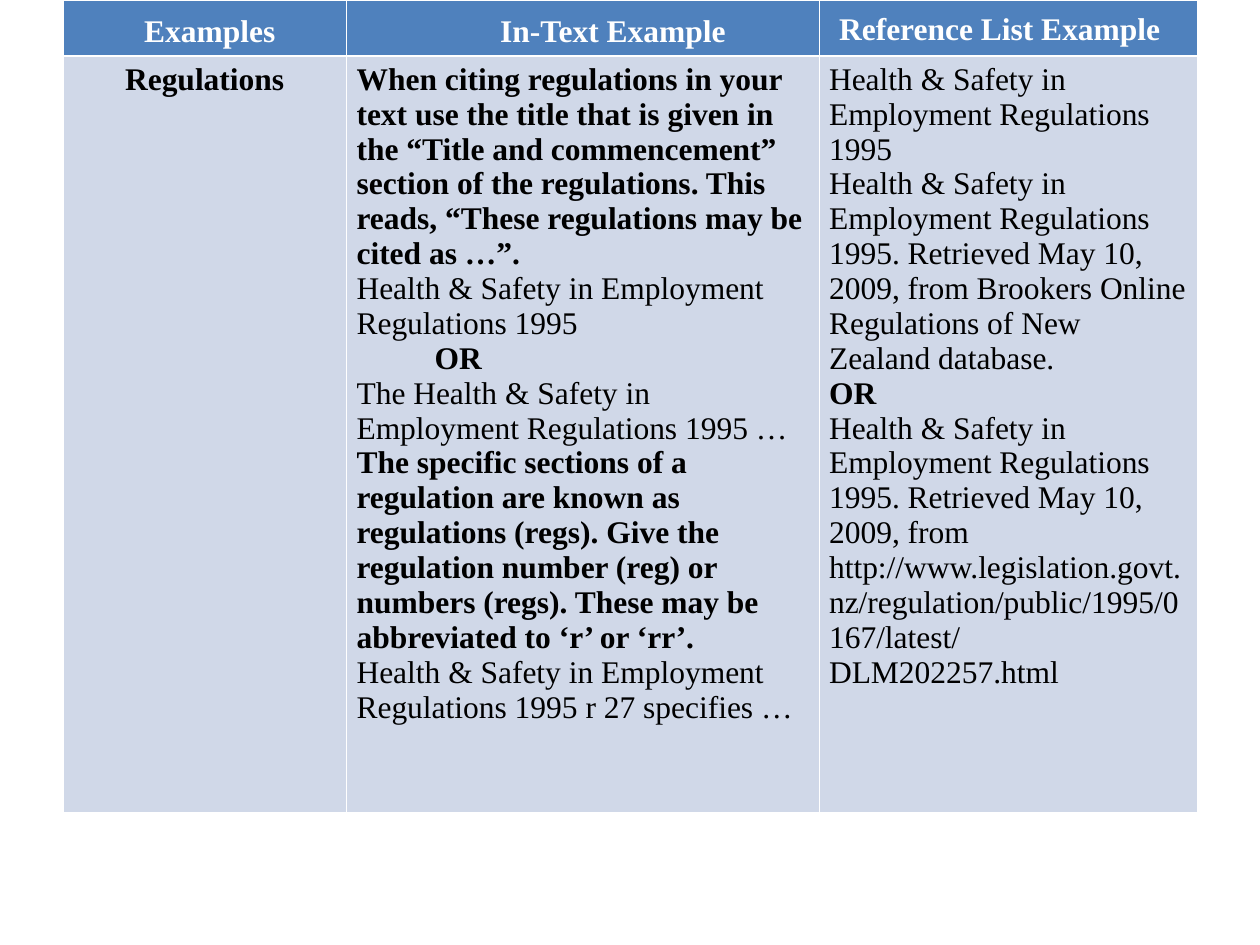
from pptx import Presentation
from pptx.dml.color import RGBColor
from pptx.enum.text import PP_ALIGN
from pptx.oxml import parse_xml
from pptx.oxml.ns import nsdecls
from pptx.util import Inches, Pt

LEFT, CENTER = PP_ALIGN.LEFT, PP_ALIGN.CENTER
BLANK_LAYOUT = 6
WHITE, BLACK, BLUE, PALE_BLUE = "FFFFFF", "000000", "4F81BD", "D0D8E8"
THIN, THICK = 0.45, 1.47


def add_borders(cell, widths):
    """Give the cell white borders; widths maps a side (L, R, T, B) to points."""
    properties = cell._tc.get_or_add_tcPr()
    for side, width in widths.items():
        properties.append(parse_xml(
            f'<a:ln{side} {nsdecls("a")} w="{Pt(width)}"><a:solidFill>'
            f'<a:srgbClr val="{WHITE}"/></a:solidFill></a:ln{side}>'))


def write_paragraph(paragraph, text, bold, color, align=LEFT, indent=0):
    paragraph.alignment = align
    paragraph._p.get_or_add_pPr().set("marL", str(Inches(indent)))
    run = paragraph.add_run()
    run.text = text
    font_format = {"name": "Times New Roman", "size": Pt(18), "bold": bold}
    for attribute, value in font_format.items():
        setattr(run.font, attribute, value)
    run.font.color.rgb = RGBColor.from_string(color)


# text, alignment, indent, line spacing, top margin
headings = [
    ("Examples", CENTER, 0.08, 12.5, 0.22),
    ("In-Text Example", LEFT, 1.14, 12.5, 0.22),
    ("Reference List Example", LEFT, 0.08, 12, 0.21),
]
# text, bold, alignment, indent
details = [
    [("Regulations", True, CENTER, 0)],
    [
        ("When citing regulations in your text use the title that is given in the "
         "“Title and commencement” section of the regulations. This reads, "
         "“These regulations may be cited as …”.", True, LEFT, 0),
        ("Health & Safety in Employment Regulations 1995", False, LEFT, 0),
        ("OR", True, LEFT, 0.62),
        ("The Health & Safety in Employment Regulations 1995 …", False, LEFT, 0),
        ("The specific sections of a regulation are known as regulations (regs). "
         "Give the", True, LEFT, 0),
        ("regulation number (reg) or numbers (regs). These may be abbreviated to "
         "‘r’ or ‘rr’.", True, LEFT, 0),
        ("Health & Safety in Employment Regulations 1995 r 27 specifies …",
         False, LEFT, 0),
    ],
    [
        ("Health & Safety in Employment Regulations 1995", False, LEFT, 0),
        ("Health & Safety in Employment Regulations 1995. Retrieved May 10, 2009, "
         "from Brookers Online Regulations of New Zealand database.", False, LEFT, 0),
        ("OR", True, LEFT, 0),
        ("Health & Safety in Employment Regulations 1995. Retrieved May 10, 2009, "
         "from http://www.legislation.govt.nz/regulation/public/1995/0167/latest/"
         "DLM202257.html", False, LEFT, 0),
    ],
]

prs = Presentation()
prs.slide_width, prs.slide_height = Inches(10), Inches(7.5)
slide = prs.slides.add_slide(prs.slide_layouts[BLANK_LAYOUT])

citations = slide.shapes.add_table(
    2, 3, Inches(0.5), Inches(0), Inches(9), Inches(6.44)).table
for column, width in zip(citations.columns, (2.25, 3.75, 3)):
    column.width = Inches(width)
for row, height in zip(citations.rows, (0.44, 6)):
    row.height = Inches(height)

row_styles = [
    (BLUE, {"L": THIN, "R": THIN, "T": THIN, "B": THICK}),
    (PALE_BLUE, {"L": THIN, "R": THIN, "T": THICK, "B": THIN}),
]
for row, (fill, borders) in zip(citations.rows, row_styles):
    for cell in row.cells:
        cell.margin_left = cell.margin_right = Inches(0.08)
        cell.margin_top = cell.margin_bottom = Inches(0.05)
        add_borders(cell, borders)
        cell.fill.solid()
        cell.fill.fore_color.rgb = RGBColor.from_string(fill)

for cell, (text, align, indent, spacing, top) in zip(citations.rows[0].cells, headings):
    cell.margin_top = Inches(top)
    heading = cell.text_frame.paragraphs[0]
    write_paragraph(heading, text, True, WHITE, align, indent)
    heading.line_spacing = Pt(spacing)

for cell, entries in zip(citations.rows[1].cells, details):
    frame = cell.text_frame
    for i, (text, bold, align, indent) in enumerate(entries):
        entry = frame.add_paragraph() if i else frame.paragraphs[0]
        write_paragraph(entry, text, bold, BLACK, align, indent)

prs.save("out.pptx")
